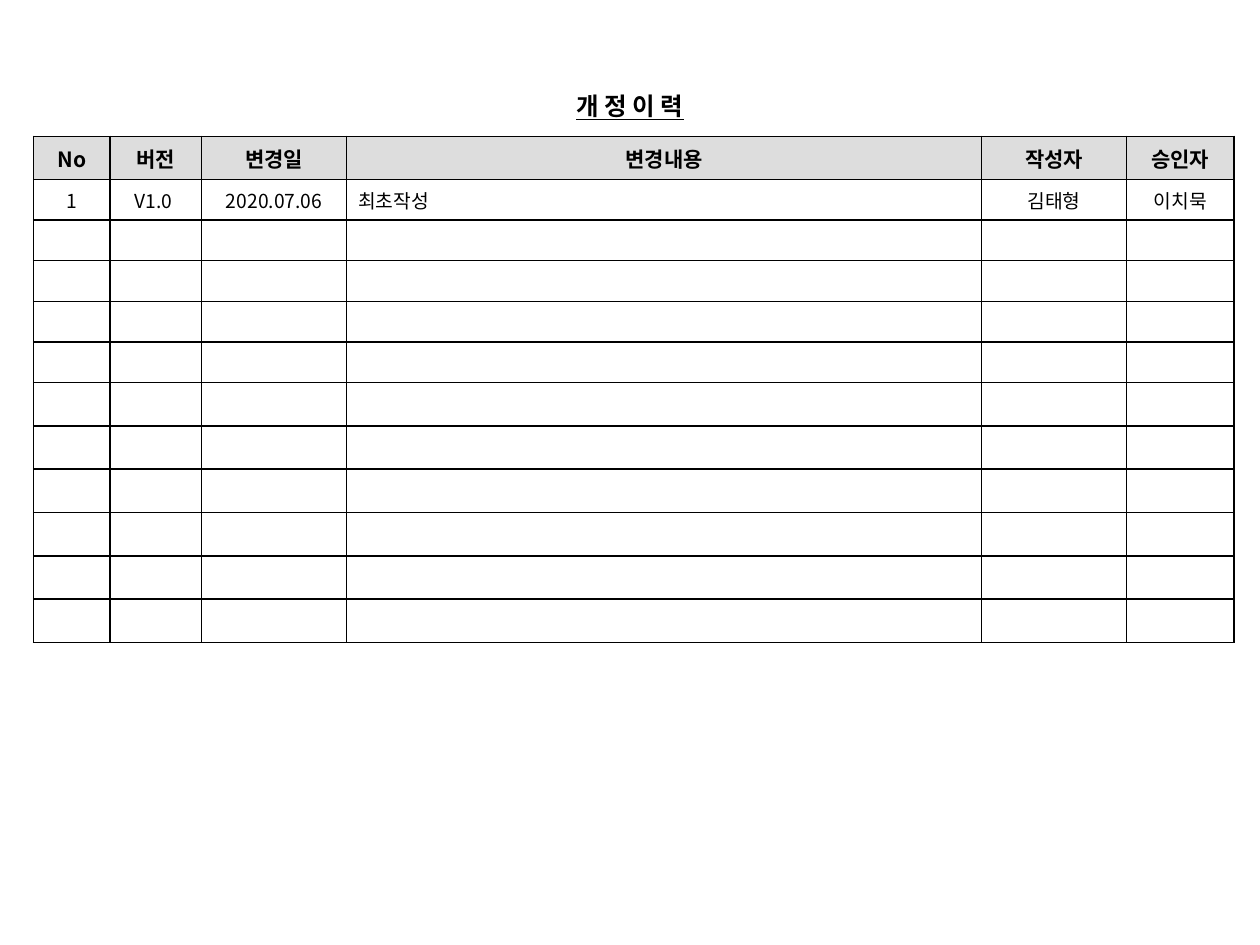
from lxml import etree
from pptx import Presentation
from pptx.dml.color import RGBColor
from pptx.enum import text as t
from pptx.oxml import ns
from pptx.text.text import Font
from pptx.util import Pt

FACE = "Noto Sans CJK KR"


def rgb(value):
    return RGBColor.from_string(value)


def set_font(font, size, bold=False):
    font.size, font.bold, font.name = Pt(size), bold, FACE
    font.color.rgb = rgb("000000")
    # Korean letters take the East Asian face
    etree.SubElement(font._rPr, ns.qn("a:ea"), typeface=FACE)


prs = Presentation()
prs.slide_width, prs.slide_height = Pt(720), Pt(540)
slide = prs.slides.add_slide(prs.slide_layouts[6])

# Title
title = slide.shapes.add_textbox(Pt(301.7), Pt(48.7), Pt(116.6), Pt(23.8)).text_frame
title.word_wrap = True
heading = title.paragraphs[0]
heading.text = "개 정 이 력"
heading.alignment = t.PP_ALIGN.CENTER
set_font(heading.font, 14, True)
heading.font.underline = True

# Revision history: two filled rows, then empty ones
entries = [
    ["No", "버전", "변경일", "변경내용", "작성자", "승인자"],
    ["1", "V1.0 ", "2020.07.06", "최초작성", "김태형", "이치묵"],
]
column_widths = [43.7, 52.4, 82.9, 362.8, 82.9, 61.2]
row_heights = [24.7] + [23.2] * 5 + [24.8] * 6
row_sizes = [12] + [11] * 5 + [12] * 6
entries += [[""] * len(column_widths)] * (len(row_heights) - len(entries))

history = slide.shapes.add_table(
    len(row_heights), len(column_widths), Pt(19.2), Pt(77.9),
    Pt(sum(column_widths)), Pt(sum(row_heights))).table
for column, width in zip(history.columns, column_widths):
    column.width = Pt(width)

for r, (row, height, size) in enumerate(zip(history.rows, row_heights, row_sizes)):
    row.height = Pt(height)
    for c, cell in enumerate(row.cells):
        cell.vertical_anchor = t.MSO_ANCHOR.MIDDLE
        cell.margin_left = cell.margin_right = Pt(6.5)
        cell.margin_top = cell.margin_bottom = Pt(3.6)
        if r == 0:
            cell.fill.solid()
            cell.fill.fore_color.rgb = rgb("DDDDDD")
        else:
            cell.fill.background()

        # Text; an empty cell keeps its size in the end mark
        entry = cell.text_frame.paragraphs[0]
        left_aligned = r > 0 and c == 3
        entry.alignment = t.PP_ALIGN.LEFT if left_aligned else t.PP_ALIGN.CENTER
        if entries[r][c]:
            entry.text = entries[r][c]
            set_font(entry.font, size, r == 0)
        else:
            set_font(Font(entry._p.get_or_add_endParaRPr()), size)

        # Black borders, placed ahead of the fill
        for i, side in enumerate(["lnL", "lnR", "lnT", "lnB"]):
            border = etree.Element(ns.qn("a:" + side), w=str(Pt(1)))
            line_fill = etree.SubElement(border, ns.qn("a:solidFill"))
            etree.SubElement(line_fill, ns.qn("a:srgbClr"), val="000000")
            cell._tc.get_or_add_tcPr().insert(i, border)

prs.save("out.pptx")
